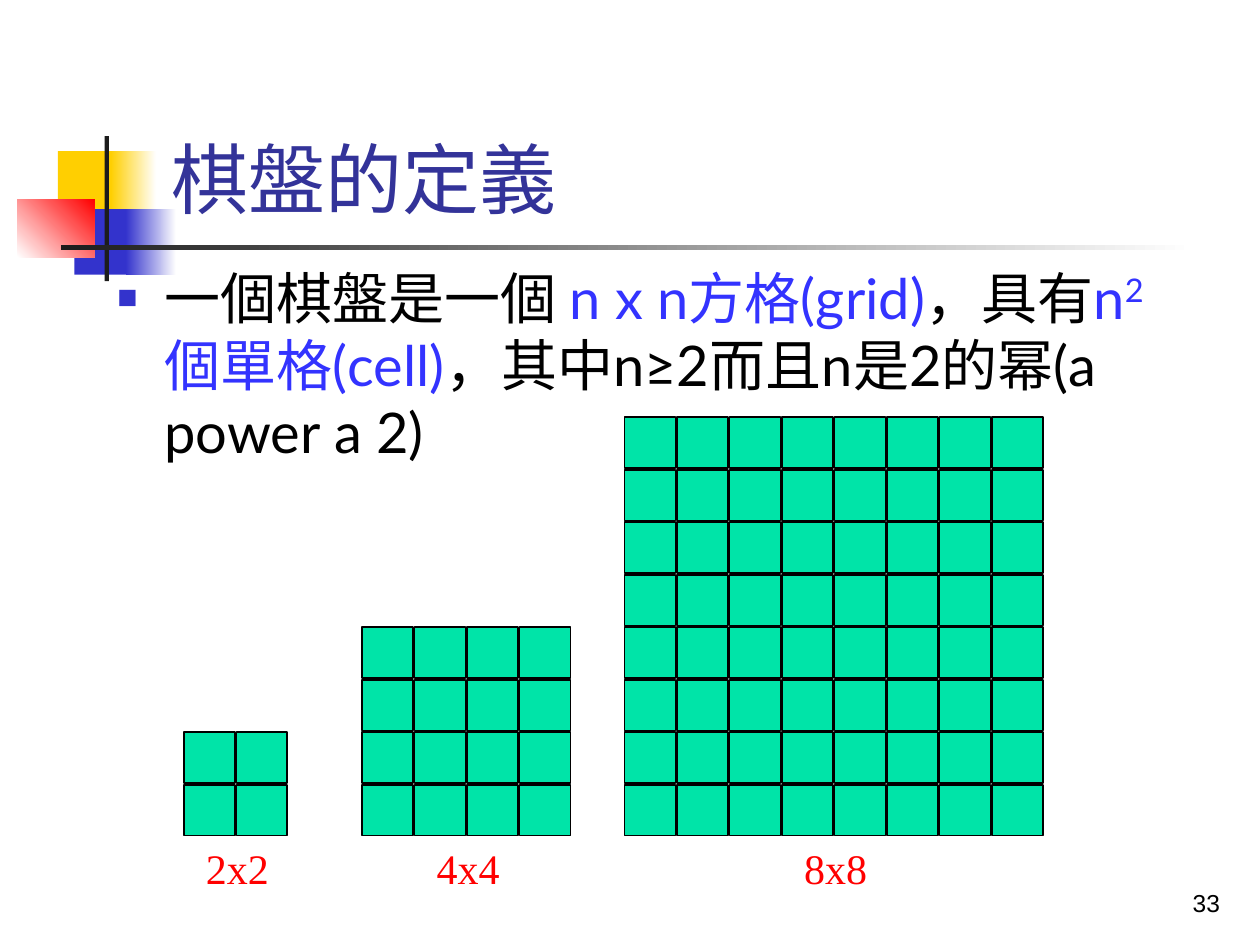
from lxml.etree import SubElement
from pptx import Presentation
from pptx.dml.color import RGBColor
from pptx.enum.shapes import MSO_SHAPE
from pptx.enum.text import MSO_ANCHOR, MSO_AUTO_SIZE, PP_ALIGN
from pptx.oxml.ns import qn
from pptx.util import Pt

TITLE = "棋盤的定義"
BLACK, BLUE = "000000", "3333FF"
BODY = [
    ("一個棋盤是一個 ", BLACK, 0),
    ("n x n方格(grid)", BLUE, 0),
    ("，具有", BLACK, 0),
    ("n", BLUE, 0),
    ("2", BLUE, 30),
    ("個單格(cell)", BLUE, 0),
    ("，其中n≥2而且n是2的幂(a power a 2)", BLACK, 0),
]
DECOR = [
    ((33.1, 86.4, 34.6, 37.4), ["FFCF01"], 0),
    ((63.4, 86.4, 25.9, 37.4), ["FFCF01", "FFFFFF"], 0),
    ((42.5, 119.5, 33.1, 37.4), ["3333CC"], 0),
    ((72, 119.5, 28.8, 37.4), ["3333CC", "FFFFFF"], 0),
    ((10, 113.8, 44, 33.1), ["FFFFFF", "FF0000"], 45),
    ((59.8, 77.8, 2.4, 82.8), ["1C1C1C"], 0),
    ((34.6, 140.2, 648, 2.4), ["1C1C1C", "FFFFFF"], 0),
]
BOARDS = [(2, 105.1), (4, 206.9), (8, 356.9)]
PITCH, CELL, BASE = 30, 29.1, 478.4


def rgb(code):
    return RGBColor.from_string(code)


def place(shape, box):
    shape.left, shape.top, shape.width, shape.height = map(Pt, box)


def write(shape, runs, size=24, font="Lato", color=BLACK,
          align=PP_ALIGN.LEFT, anchor=MSO_ANCHOR.TOP, fit=MSO_AUTO_SIZE.NONE):
    frame = shape.text_frame
    frame.word_wrap = True
    frame.auto_size = fit
    frame.vertical_anchor = anchor
    para = frame.paragraphs[0]
    para.alignment = align
    if isinstance(runs, str):
        runs = [(runs, color, 0)]
    for text, tone, base in runs:
        run = para.add_run()
        run.text = text
        run.font.size = Pt(size)
        run.font.name = font
        run.font.color.rgb = rgb(tone)
        if base:
            run.font._element.set("baseline", str(base * 1000))
    return para


def block(shapes, box, colors, angle=0, line=None):
    shape = shapes.add_shape(MSO_SHAPE.RECTANGLE, *map(Pt, box))
    shape.shadow.inherit = False
    if len(colors) == 1:
        shape.fill.solid()
        shape.fill.fore_color.rgb = rgb(colors[0])
    else:
        shape.fill.gradient()
        shape.fill.gradient_angle = angle
        for stop, color in zip(shape.fill.gradient_stops, colors):
            stop.color.rgb = rgb(color)
    if line:
        shape.line.color.rgb = rgb(line)
        shape.line.width = Pt(1)
    else:
        shape.line.fill.background()


def bullet(para, char, color, scale, indent):
    props = para._p.get_or_add_pPr()
    props.set("marL", str(Pt(indent)))
    props.set("indent", str(-Pt(indent)))
    tint = SubElement(props, qn("a:buClr"))
    SubElement(tint, qn("a:srgbClr")).set("val", color)
    SubElement(props, qn("a:buSzPct")).set("val", str(scale * 1000))
    SubElement(props, qn("a:buFont")).set("typeface", "Arial")
    SubElement(props, qn("a:buChar")).set("char", char)


def board(slide, count, left):
    shapes = slide.shapes.add_group_shape().shapes
    for row in range(count):
        for col in range(count):
            box = (left + col * PITCH, BASE - (row + 1) * PITCH, CELL, CELL)
            block(shapes, box, ["00E4A8"], line=BLACK)
    mid = left + count * PITCH / 2
    label = shapes.add_textbox(*map(Pt, (mid - 24.5, 478, 60, 36)))
    write(label, f"{count}x{count}", font="Times New Roman", color="FF0000",
          fit=MSO_AUTO_SIZE.SHAPE_TO_FIT_TEXT)


def main():
    deck = Presentation()
    deck.slide_width, deck.slide_height = Pt(720), Pt(540)
    slide = deck.slides.add_slide(deck.slide_layouts[1])
    for box, colors, angle in DECOR:
        block(slide.shapes, box, colors, angle)

    title, body = slide.placeholders
    for holder in (title, body):
        slide.shapes._spTree.append(holder._element)
    place(title, (90.7, 16.6, 613.4, 115.2))
    write(title, TITLE, size=44, color="333399", anchor=MSO_ANCHOR.BOTTOM)
    place(body, (59.8, 146.9, 612, 95.8))
    bullet(write(body, BODY, size=32), "■", "3333CC", 60, 27)

    for count, left in BOARDS:
        board(slide, count, left)
    number = slide.shapes.add_textbox(*map(Pt, (554.4, 491.8, 149.8, 36)))
    write(number, "33", size=14, font="Arial", align=PP_ALIGN.RIGHT,
          anchor=MSO_ANCHOR.BOTTOM)
    deck.save("out.pptx")


if __name__ == "__main__":
    main()
